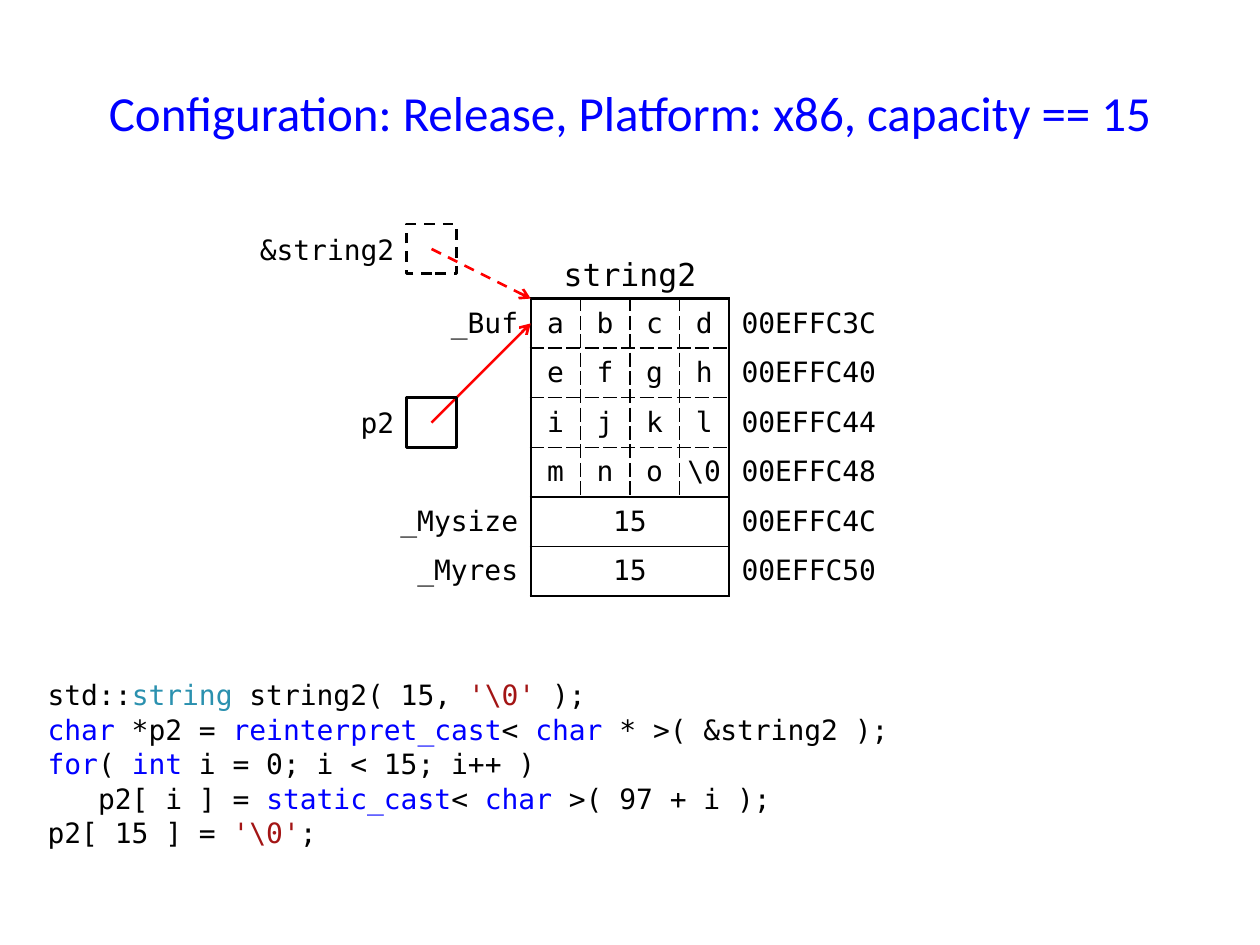
from lxml.etree import SubElement
from pptx import Presentation
from pptx.dml.color import RGBColor
from pptx.enum.dml import MSO_LINE as Dash
from pptx.enum.shapes import MSO_CONNECTOR as Connector, MSO_SHAPE as Shape
from pptx.enum.text import MSO_ANCHOR as Anchor, PP_ALIGN as Align
from pptx.oxml.ns import qn
from pptx.util import Inches, Pt

BLACK, BLUE, RED = "000000", "0000FF", "FF0000"
TEAL, BROWN = "2B91AF", "A31515"

# The memory drawing lies on a grid of one-centimetre cells.
CELL = 1 / 2.54
LABEL_WIDTH = 3.5 * CELL
BUFFER_LEFT, BUFFER_TOP = 5 - 2 * CELL, 2.37
POINTER_LEFT = BUFFER_LEFT - 2.5 * CELL

# Border kinds: width in points and dash name
THICK, THIN, DASHED = (1.5, "solid"), (1, "solid"), (1, "sysDash")

MEMORY = [
    ("_Buf", "a", "b", "c", "d", "00EFFC3C"),
    ("", "e", "f", "g", "h", "00EFFC40"),
    ("", "i", "j", "k", "l", "00EFFC44"),
    ("", "m", "n", "o", "\\0", "00EFFC48"),
    ("_Mysize", "15", "", "", "", "00EFFC4C"),
    ("_Myres", "15", "", "", "", "00EFFC50"),
]
BUFFER_ROWS = 4

CODE = [
    [("std::", BLACK), ("string ", TEAL), ("string2( 15, ", BLACK),
     ("'\\0'", BROWN), (" );", BLACK)],
    [("char", BLUE), (" *p2 = ", BLACK), ("reinterpret_cast", BLUE),
     ("< ", BLACK), ("char", BLUE), (" * >( &string2 );", BLACK)],
    [("for", BLUE), ("( ", BLACK), ("int", BLUE),
     (" i = 0; i < 15; i++ )", BLACK)],
    [("   p2[ i ] = ", BLACK), ("static_cast", BLUE), ("< ", BLACK),
     ("char", BLUE), (" >( 97 + i );", BLACK)],
    [("p2[ 15 ] = ", BLACK), ("'\\0'", BROWN), (";", BLACK)],
]


def color(hex_text):
    return RGBColor.from_string(hex_text)


def apply(target, values):
    for name, value in values.items():
        setattr(target, name, value)


def vertical_border(edge, row):
    """Border on the column edge with this index, counted from the left."""
    if edge in (1, 5):
        return THICK
    return DASHED if 1 < edge < 5 and row < BUFFER_ROWS else None


def horizontal_border(edge, column):
    """Border on the row edge with this index, counted from the top."""
    if not 1 <= column <= 4:
        return None
    if edge in (0, len(MEMORY)):
        return THICK
    return THIN if edge >= BUFFER_ROWS else DASHED


def set_border(cell, side, border):
    line = SubElement(cell._tc.get_or_add_tcPr(), qn(f"a:{side}"))
    if border is None:
        SubElement(line, qn("a:noFill"))
        return
    width, dash = border
    line.set("w", str(Pt(width)))
    fill = SubElement(line, qn("a:solidFill"))
    SubElement(fill, qn("a:srgbClr")).set("val", BLACK)
    SubElement(line, qn("a:prstDash")).set("val", dash)


class SlideBuilder:
    def __init__(self, slide, font="DejaVu Sans Mono", size=16):
        self.slide, self.font, self.size = slide, font, size

    def add_runs(self, paragraph, runs, align, font=None, size=None):
        """Fill a paragraph with (text, colour) runs."""
        paragraph.alignment = align
        for text, run_color in runs:
            run = paragraph.add_run()
            run.text = text
            apply(run.font, {"name": font or self.font, "size": Pt(size or self.size)})
            run.font.color.rgb = color(run_color)

    def text(self, box, lines, align=Align.LEFT, anchor=Anchor.MIDDLE, gap=0, **style):
        shape = self.slide.shapes.add_textbox(*map(Inches, box))
        frame = shape.text_frame
        apply(frame, {"word_wrap": True, "vertical_anchor": anchor})
        for index, runs in enumerate(lines):
            paragraph = frame.add_paragraph() if index else frame.paragraphs[0]
            paragraph.space_after = Pt(gap)
            self.add_runs(paragraph, runs, align, **style)

    def pointer_box(self, top, dash=Dash.SOLID):
        box = map(Inches, (POINTER_LEFT, top, CELL, CELL))
        shape = self.slide.shapes.add_shape(Shape.RECTANGLE, *box)
        shape.shadow.inherit = False
        shape.fill.background()
        shape.line.color.rgb = color(BLACK)
        apply(shape.line, {"width": Pt(1.5), "dash_style": dash})

    def pointer_label(self, text, top, width):
        box = (POINTER_LEFT - width, top, width, CELL)
        self.text(box, [[(text, BLACK)]], Align.RIGHT)

    def arrow(self, start, end, dash=Dash.SOLID):
        connector = self.slide.shapes.add_connector(
            Connector.STRAIGHT, *map(Inches, start + end))
        connector.line.color.rgb = color(RED)
        apply(connector.line, {"width": Pt(1.5), "dash_style": dash})
        line = connector._element.spPr.find(qn("a:ln"))
        SubElement(line, qn("a:tailEnd")).set("type", "arrow")
        SubElement(connector._element.spPr, qn("a:effectLst"))

    def memory_table(self):
        widths = [LABEL_WIDTH] + [CELL] * 4 + [LABEL_WIDTH]
        box = (BUFFER_LEFT - LABEL_WIDTH, BUFFER_TOP, sum(widths), CELL * len(MEMORY))
        frame = self.slide.shapes.add_table(
            len(MEMORY), len(widths), *map(Inches, box))
        table = frame.table
        apply(table, {"first_row": False, "horz_banding": False})
        for column, width in zip(table.columns, widths):
            column.width = Inches(width)
        for row in range(BUFFER_ROWS, len(MEMORY)):
            table.cell(row, 1).merge(table.cell(row, 4))
        for row, texts in enumerate(MEMORY):
            table.rows[row].height = Inches(CELL)
            for column, text in enumerate(texts):
                self.memory_cell(table.cell(row, column), row, column, text)

    def memory_cell(self, cell, row, column, text):
        last_column = 4 if cell.is_merge_origin else column
        set_border(cell, "lnL", vertical_border(column, row))
        set_border(cell, "lnR", vertical_border(last_column + 1, row))
        set_border(cell, "lnT", horizontal_border(row, column))
        set_border(cell, "lnB", horizontal_border(row + 1, column))
        cell.fill.background()
        side = Inches(0.1 if column in (0, 5) else 0)
        apply(cell, {"margin_left": side, "margin_right": side,
                     "margin_top": Inches(0.04), "margin_bottom": Inches(0.04),
                     "vertical_anchor": Anchor.MIDDLE})
        if text:
            align = {0: Align.RIGHT, 5: Align.LEFT}.get(column, Align.CENTER)
            self.add_runs(cell.text_frame.paragraphs[0], [(text, BLACK)], align)


def main():
    presentation = Presentation()
    apply(presentation, {"slide_width": Inches(10), "slide_height": Inches(7.5)})
    builder = SlideBuilder(presentation.slides.add_slide(presentation.slide_layouts[6]))

    title = "Configuration: Release, Platform: x86, capacity == 15"
    builder.text((0.47, 0.4, 9.06, 0.98), [[(title, BLUE)]], Align.CENTER,
                 font="Calibri", size=28)
    builder.text((0.28, 5.33, 9.45, 1.57), CODE, anchor=Anchor.TOP, gap=0.5)

    builder.memory_table()
    builder.text((BUFFER_LEFT, BUFFER_TOP - CELL, 4 * CELL, CELL),
                 [[("string2", BLACK)]], Align.CENTER, Anchor.TOP, size=18)

    address_top = BUFFER_TOP - 1.5 * CELL
    p2_top = BUFFER_TOP + 2 * CELL
    pointer_center = POINTER_LEFT + CELL / 2
    builder.pointer_box(address_top, Dash.DASH)
    builder.pointer_label("&string2", address_top, LABEL_WIDTH)
    builder.arrow((pointer_center, address_top + CELL / 2),
                  (BUFFER_LEFT, BUFFER_TOP), Dash.DASH)
    builder.pointer_label("p2", p2_top, 1.5 * CELL)
    builder.arrow((pointer_center, p2_top + CELL / 2),
                  (BUFFER_LEFT, BUFFER_TOP + CELL / 2))
    builder.pointer_box(p2_top)

    presentation.save("out.pptx")


if __name__ == "__main__":
    main()
